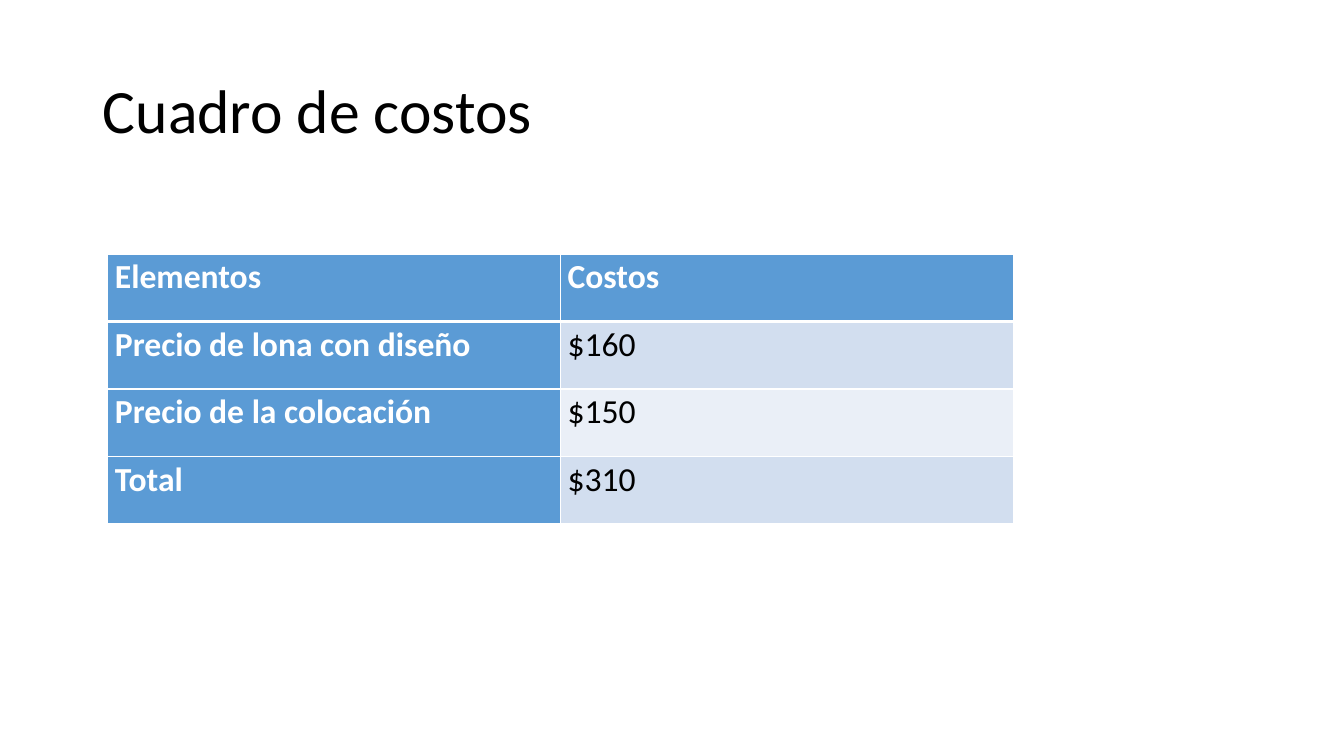
import dataclasses

import lxml.etree
import pptx
import pptx.dml.color
import pptx.enum.text
import pptx.oxml.ns
import pptx.util

Inches = pptx.util.Inches
Pt = pptx.util.Pt

FONT = "Calibri"
WHITE, BLACK, BLUE = "FFFFFF", "000000", "5B9BD5"
BANDS = ("D2DEEF", "EAEFF7")
COL_WIDTH, ROW_HEIGHT = 4.49, 0.67


@dataclasses.dataclass(frozen=True)
class CostRow:
    element: str
    cost: str


COSTS = [
    CostRow("Elementos", "Costos"),
    CostRow("Precio de lona con diseño", "$160"),
    CostRow("Precio de la colocación", "$150"),
    CostRow("Total", "$310"),
]


def rgb(color: str) -> pptx.dml.color.RGBColor:
    return pptx.dml.color.RGBColor.from_string(color)


def set_attrs(obj, values: dict) -> None:
    for name, value in values.items():
        setattr(obj, name, value)


def write_text(p, text: str, size: int, color: str, spacing: float, bold: bool = False) -> None:
    set_attrs(p, {"alignment": pptx.enum.text.PP_ALIGN.LEFT, "line_spacing": spacing})
    r = p.add_run()
    r.text = text
    set_attrs(r.font, {"name": FONT, "size": Pt(size), "bold": bold})
    r.font.color.rgb = rgb(color)


def add_border(cell, side: str, width: float, color: str) -> None:
    qn = pptx.oxml.ns.qn
    tc_pr = cell._tc.get_or_add_tcPr()
    ln = lxml.etree.SubElement(tc_pr, qn(f"a:ln{side}"), w=str(Pt(width)))
    fill = lxml.etree.SubElement(ln, qn("a:solidFill"))
    lxml.etree.SubElement(fill, qn("a:srgbClr"), val=color)


def format_cell(cell, text: str, row: int, col: int) -> None:
    is_heading = row == 0 or col == 0
    set_attrs(cell, {
        "margin_left": Inches(0.07),
        "margin_right": Inches(0.07),
        "margin_top": 0,
        "margin_bottom": 0,
        "vertical_anchor": pptx.enum.text.MSO_ANCHOR.TOP,
    })
    widths = {"L": 1, "R": 1, "T": 3 if row == 1 else 1, "B": 3 if row == 0 else 1}
    for side, width in widths.items():
        add_border(cell, side, width, WHITE)
    cell.fill.solid()
    cell.fill.fore_color.rgb = rgb(BLUE if is_heading else BANDS[(row - 1) % 2])
    write_text(cell.text_frame.paragraphs[0], text, 24,
               WHITE if is_heading else BLACK, 1.07, is_heading)


def add_title(s, text: str) -> None:
    sp = s.shapes.title
    set_attrs(sp, {"left": Inches(0.92), "top": Inches(0.4),
                   "width": Inches(11.5), "height": Inches(1.45)})
    tf = sp.text_frame
    set_attrs(tf, {"word_wrap": True,
                   "vertical_anchor": pptx.enum.text.MSO_ANCHOR.MIDDLE})
    write_text(tf.paragraphs[0], text, 44, BLACK, 0.9)


def add_cost_table(s, costs: list[CostRow]) -> None:
    table = s.shapes.add_table(
        len(costs), 2, Inches(1.07), Inches(2.52),
        Inches(2 * COL_WIDTH), Inches(len(costs) * ROW_HEIGHT)).table
    table.first_col = True
    for column in table.columns:
        column.width = Inches(COL_WIDTH)
    for i, cost_row in enumerate(costs):
        table.rows[i].height = Inches(ROW_HEIGHT)
        for j, text in enumerate(dataclasses.astuple(cost_row)):
            format_cell(table.cell(i, j), text, i, j)


def main() -> None:
    prs = pptx.Presentation()
    set_attrs(prs, {"slide_width": Inches(13.33), "slide_height": Inches(7.5)})
    s = prs.slides.add_slide(prs.slide_layouts[5])
    add_title(s, "Cuadro de costos")
    add_cost_table(s, COSTS)
    prs.save("out.pptx")


if __name__ == "__main__":
    main()
